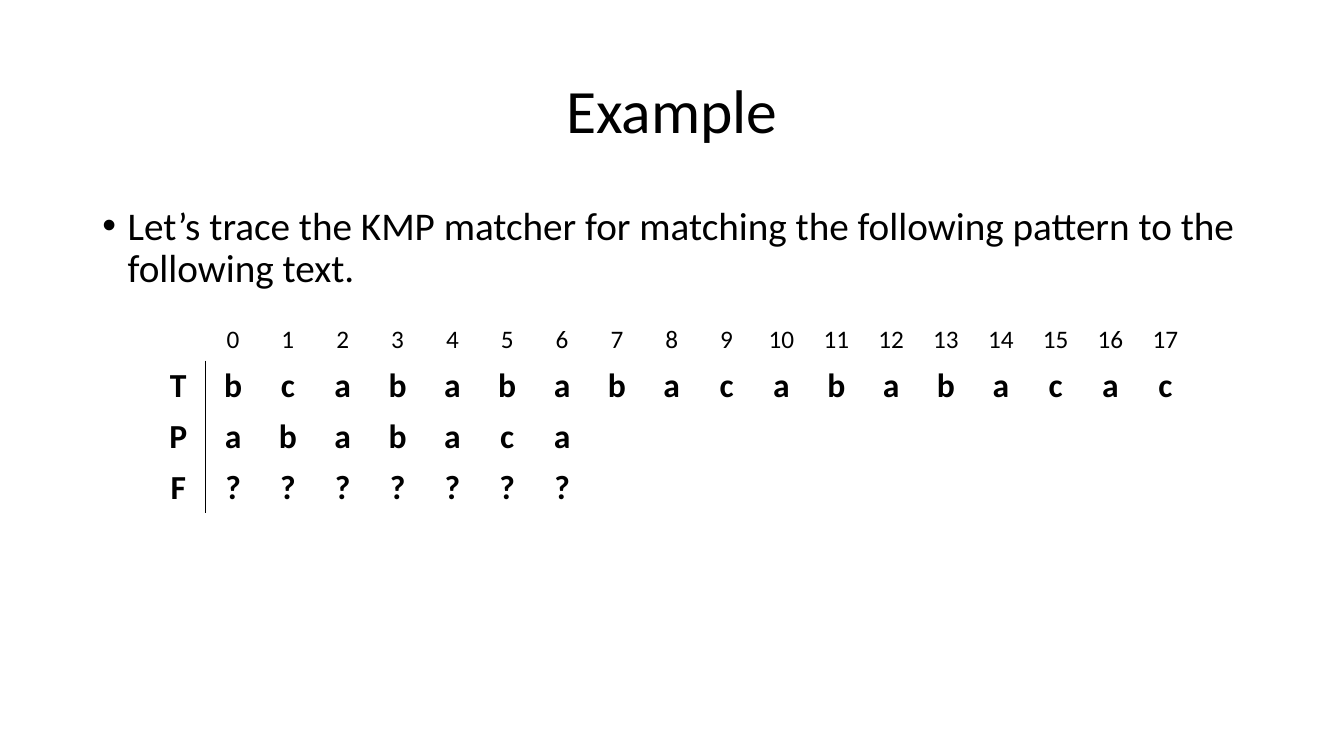
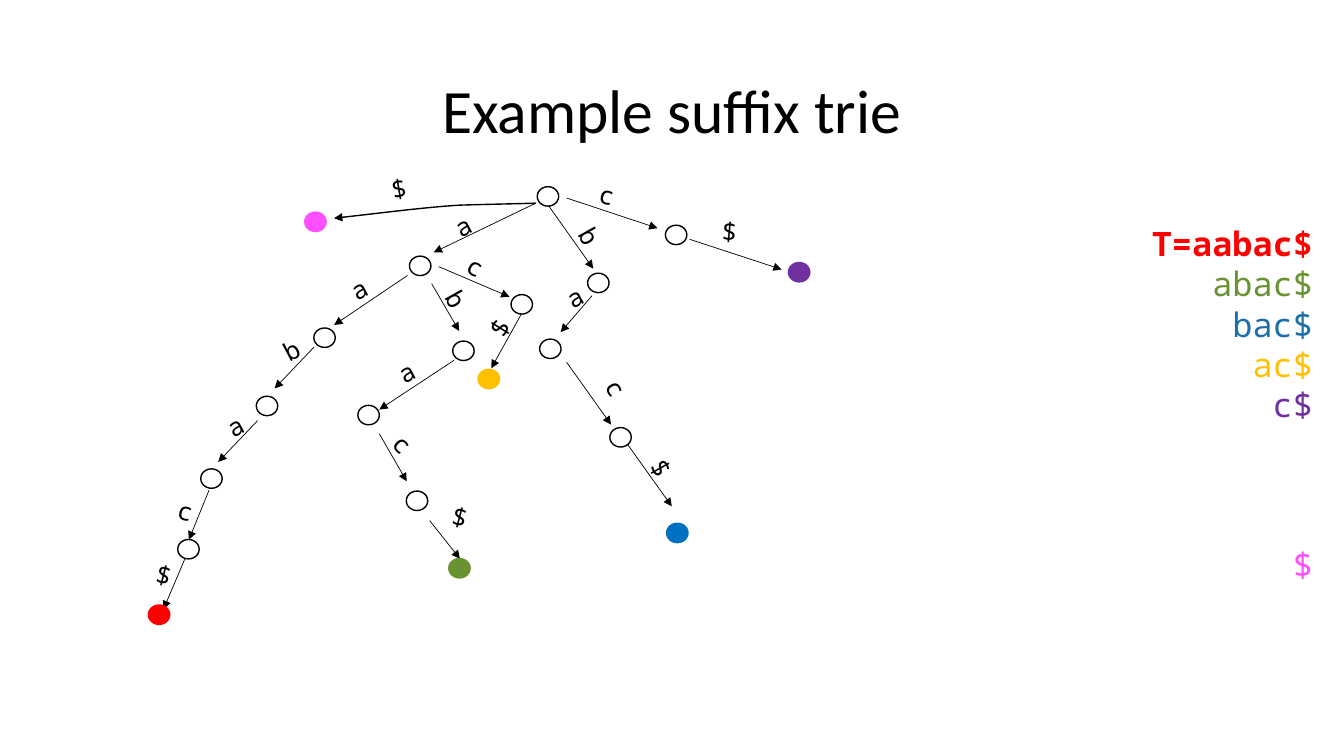
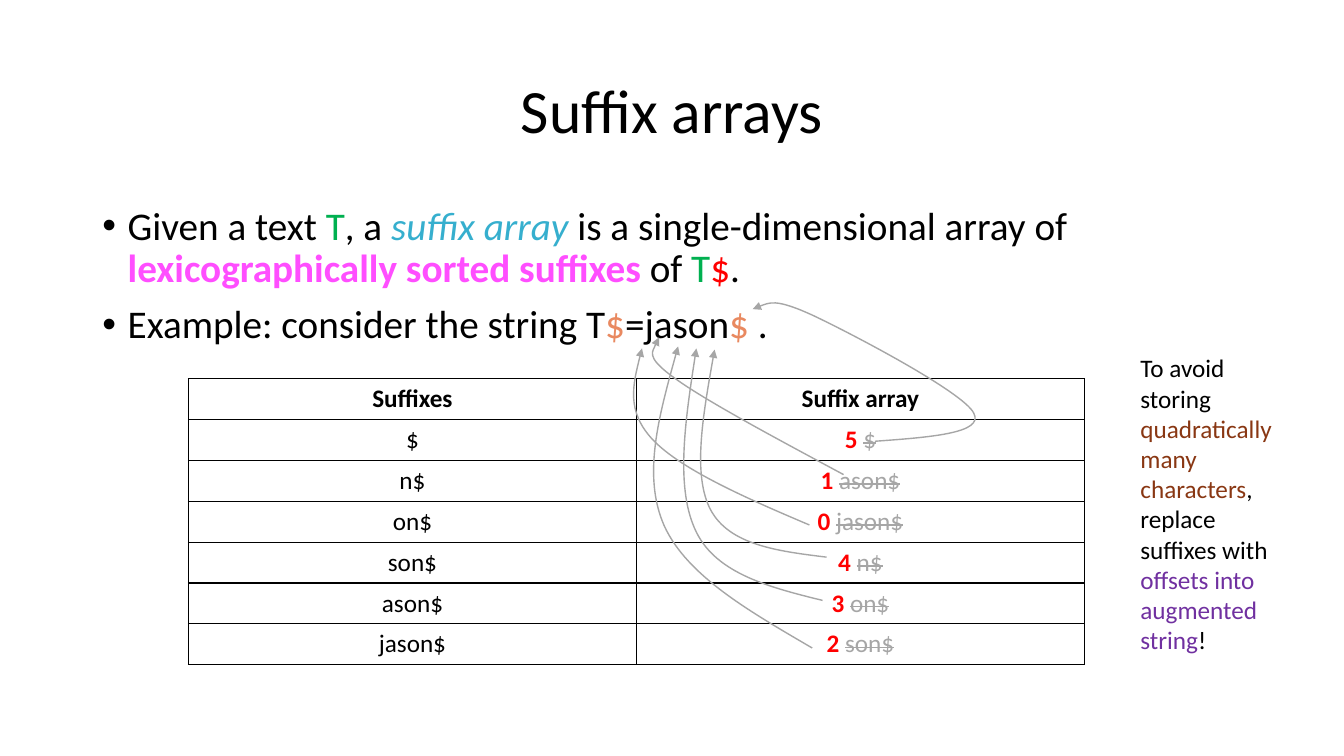
from dataclasses import dataclass

from lxml.etree import SubElement
from pptx import Presentation
from pptx.dml.color import RGBColor
from pptx.enum.shapes import MSO_CONNECTOR as Connector, MSO_SHAPE as Shape
from pptx.enum.text import MSO_ANCHOR as Anchor, PP_ALIGN as Align
from pptx.oxml.ns import qn
from pptx.util import Cm, Pt


@dataclass(frozen=True)
class Theme:
    sans: str = "Calibri"
    mono: str = "Noto Sans Mono"
    title: int = 44
    body: int = 28
    large: int = 24
    small: int = 18
    black: str = "000000"
    red: str = "FF0000"
    pink: str = "FF4EFF"
    purple: str = "7030A0"
    gold: str = "FFC000"
    olive: str = "699331"
    blue: str = "0070C0"
    deep_blue: str = "1D6FA9"
    green: str = "00B050"
    cyan: str = "36AFCE"
    orange: str = "E98960"
    brown: str = "893713"
    grey: str = "A6A6A6"
    thin: float = 0.5
    regular: float = 1
    plain_table: str = "{2D5ABB26-0587-4C30-8999-92F81FD0307C}"


THEME = Theme()


@dataclass(frozen=True)
class Span:
    text: str
    color: str = THEME.black
    bold: bool = False
    italic: bool = False
    strike: bool = False


LINE_BREAK = Span("\n")


@dataclass(frozen=True)
class Branch:
    """One trie edge and the node it leads to; all points are in cm from the trie's corner."""
    prefix: str
    node: tuple
    label: tuple
    angle: float
    arrow: tuple


TITLE_BOX = (2.33, 1.02, 29.21, 3.68)
BODY_BOX = (2.33, 5.07, 29.21, 12.09)

TEXT, PATTERN = "bcabababacababacac", "ababaca"

ROOT = (10.1, 0.74)
LEAF_COLORS = {
    "$": THEME.pink, "aabac$": THEME.red, "abac$": THEME.olive,
    "ac$": THEME.gold, "bac$": THEME.blue, "c$": THEME.purple,
}
BRANCHES = [
    Branch("$", (4.24, 1.38), (6.25, 0.55), -9.7,
           ((9.79, 0.91), (9.15, 0.93), (8.52, 0.94), (7.88, 0.96),
            (7.04, 1.01), (5.88, 1.16), (4.71, 1.29))),
    Branch("a", (6.88, 2.49), (7.87, 1.54), -28, ((9.79, 0.91), (7.22, 2.15))),
    Branch("aa", (4.47, 4.3), (5.25, 3.12), -28, ((6.56, 2.73), (4.71, 3.98))),
    Branch("aab", (3.02, 6.02), (3.55, 4.66), -28, ((4.2, 4.54), (3.21, 5.58))),
    Branch("aaba", (1.62, 7.85), (2.13, 6.57), -28, ((2.78, 6.39), (1.79, 7.43))),
    Branch("aabac", (1.04, 9.63), (0.88, 8.63), 14.7, ((1.56, 8.14), (1.05, 9.39))),
    Branch("aabac$", (0.3, 11.28), (0.33, 10.25), 14.7, ((0.95, 9.87), (0.41, 11.14))),
    Branch("ab", (7.97, 4.63), (7.74, 3.24), 60.9, ((7.17, 2.94), (7.86, 4.13))),
    Branch("aba", (5.58, 6.25), (6.45, 5.22), -28, ((7.73, 4.87), (5.85, 6.11))),
    Branch("abac", (6.8, 8.41), (6.38, 6.92), 46.8, ((5.85, 6.72), (6.54, 7.92))),
    Branch("abac$", (7.87, 10.11), (7.79, 8.78), 14.7, ((7.12, 8.91), (7.88, 9.87))),
    Branch("ac", (9.44, 3.46), (8.2, 2.45), 29.4, ((7.35, 2.51), (9.13, 3.27))),
    Branch("ac$", (8.61, 5.34), (8.83, 4.13), -58.3, ((9.43, 3.7), (8.67, 5.07))),
    Branch("b", (11.37, 2.92), (11.1, 1.67), 60.9, ((10.12, 0.98), (11.24, 2.56))),
    Branch("ba", (10.16, 4.58), (10.69, 3.32), -28, ((11.21, 3.24), (10.42, 4.16))),
    Branch("bac", (11.93, 6.81), (11.78, 5.48), 60.9, ((10.57, 4.92), (11.69, 6.49))),
    Branch("bac$", (13.36, 9.22), (12.91, 7.51), 60.9, ((12.1, 6.98), (13.22, 8.55))),
    Branch("c", (13.33, 1.71), (11.5, 0.68), 14.7, ((10.57, 0.78), (12.86, 1.54))),
    Branch("c$", (16.43, 2.65), (14.58, 1.62), 5.5, ((13.67, 1.82), (15.99, 2.58))),
]

SUFFIXES = ["$", "n$", "on$", "son$", "ason$", "jason$"]
OFFSETS = [(5, "$"), (1, "ason$"), (0, "jason$"), (4, "n$"), (3, "on$"), (2, "son$")]
# Cubic Bézier points from each offset to its letter, in cm from the table's corner
POINTERS = [
    ((17.3, 1.58), (18.67, 1.48), (20.07, 1.38), (19.79, 0.87), (19.53, 0.34),
     (16.66, -1.16), (15.72, -1.6), (14.78, -2.03), (14.5, -1.87), (14.22, -1.75)),
    ((16.51, 2.42), (14.76, 1.48), (13, 0.54), (12.24, -0.02),
     (11.46, -0.58), (11.86, -1.04), (11.86, -1.04)),
    ((15.65, 3.69), (14.02, 3), (12.42, 2.29), (11.71, 1.55),
     (11.02, 0.82), (11.23, 0.03), (11.43, -0.76)),
    ((16.08, 4.5), (14.86, 4.35), (13.64, 4.2), (13.16, 3.31),
     (12.7, 2.44), (12.98, 0.84), (13.26, -0.73)),
    ((15.98, 5.59), (14.63, 5.26), (13.31, 4.91), (12.8, 3.87),
     (12.27, 2.8), (12.52, 1.02), (12.8, -0.76)),
    ((15.72, 6.79), (14.15, 5.87), (12.57, 4.98), (11.99, 3.71),
     (11.43, 2.44), (11.89, 0.82), (12.34, -0.81)),
]


def rgb(color):
    return RGBColor.from_string(color)


def add_spans(paragraph, spans, size, face=THEME.sans):
    for span in spans:
        if span is LINE_BREAK:
            paragraph.add_line_break()
            continue
        run = paragraph.add_run()
        run.text = span.text
        font = run.font
        font.name, font.size = face, Pt(size)
        font.bold, font.italic = span.bold, span.italic
        font.color.rgb = rgb(span.color)
        if span.strike:
            run._r.get_or_add_rPr().set("strike", "sngStrike")


def add_text(slide, box, paragraphs, size, face=THEME.sans, align=Align.LEFT, anchor=Anchor.TOP):
    """Place one paragraph per list of spans and return the text box."""
    text_box = slide.shapes.add_textbox(*map(Cm, box))
    frame = text_box.text_frame
    frame.word_wrap = True
    frame.vertical_anchor = anchor
    for index, spans in enumerate(paragraphs):
        paragraph = frame.paragraphs[0] if index == 0 else frame.add_paragraph()
        paragraph.alignment = align
        add_spans(paragraph, spans, size, face)
    return text_box


def add_title(slide, title):
    heading = add_text(slide, TITLE_BOX, [[Span(title)]], THEME.title,
                       align=Align.CENTER, anchor=Anchor.MIDDLE)
    heading.text_frame.paragraphs[0].line_spacing = 0.9


def add_bullets(slide, bullets):
    body = add_text(slide, BODY_BOX, bullets, THEME.body)
    for index, paragraph in enumerate(body.text_frame.paragraphs):
        paragraph.line_spacing = 0.9
        if index:
            paragraph.space_before = Pt(10)
        properties = paragraph._p.get_or_add_pPr()
        properties.set("marL", str(Cm(0.64)))
        properties.set("indent", str(-Cm(0.64)))
        SubElement(properties, qn("a:buFont"), typeface="Arial")
        SubElement(properties, qn("a:buChar"), char="•")


def style_arrow(arrow, color, width):
    arrow.line.color.rgb = rgb(color)
    arrow.line.width = Pt(width)
    SubElement(arrow.element.spPr.find(qn("a:ln")), qn("a:tailEnd"), type="triangle")


def add_arrow(slide, corner, points):
    ends = [Cm(origin + offset) for point in points for origin, offset in zip(corner, point)]
    arrow = slide.shapes.add_connector(Connector.STRAIGHT, *ends)
    style_arrow(arrow, THEME.black, THEME.thin)
    SubElement(arrow.element.spPr, qn("a:effectLst"))


def add_curved_arrow(slide, corner, points, color):
    """Outline the end points of a Bézier chain, then bend each segment with its controls."""
    left, top = corner
    placed = [(Cm(left + x), Cm(top + y)) for x, y in points]
    builder = slide.shapes.build_freeform(*placed[0])
    builder.add_line_segments(placed[3::3], close=False)
    curve = builder.convert_to_shape()
    for index, straight in enumerate(list(curve.element.iter(qn("a:lnTo")))):
        outline = straight.getparent()
        bend = SubElement(outline, qn("a:cubicBezTo"))
        for x, y in placed[3 * index + 1:3 * index + 4]:
            SubElement(bend, qn("a:pt"), x=str(x - curve.left), y=str(y - curve.top))
        outline.remove(straight)
    curve.fill.background()
    curve.shadow.inherit = False
    style_arrow(curve, color, THEME.regular)


def add_plain_table(slide, box, rows, row_heights, sizes, borders):
    """Fill a table of span lists; borders(row, column) gives the sides to rule, out of LRTB."""
    left, top, width = box
    columns = len(rows[0])
    frame = slide.shapes.add_table(len(rows), columns, Cm(left), Cm(top), Cm(width),
                                   Cm(sum(row_heights)))
    for style in frame.element.iter(qn("a:tableStyleId")):
        style.text = THEME.plain_table
    table = frame.table
    table.first_row = table.horz_banding = False
    for column in table.columns:
        column.width = Cm(width / columns)
    for r, (spans_by_cell, height, size) in enumerate(zip(rows, row_heights, sizes)):
        table.rows[r].height = Cm(height)
        for c, spans in enumerate(spans_by_cell):
            cell = table.cell(r, c)
            paragraph = cell.text_frame.paragraphs[0]
            paragraph.alignment = Align.CENTER
            add_spans(paragraph, spans, size)
            ruled = borders(r, c)
            for side in "LRTB":
                edge = SubElement(cell._tc.get_or_add_tcPr(), qn(f"a:ln{side}"),
                                  w=str(Pt(THEME.regular)))
                if side in ruled:
                    fill = SubElement(edge, qn("a:solidFill"))
                    SubElement(fill, qn("a:srgbClr"), val=THEME.black)
                else:
                    SubElement(edge, qn("a:noFill"))
            cell.fill.background()


def add_matcher_table(slide, box):
    """Line up text, pattern and failure values under the text positions."""
    lines = [("T", TEXT), ("P", PATTERN), ("F", "?" * len(PATTERN))]
    rows = [[[]] + [[Span(str(i))] for i in range(len(TEXT))]]
    for name, letters in lines:
        filled = [[Span(letter, bold=True)] for letter in name + letters]
        rows.append(filled + [[]] * (len(TEXT) - len(letters)))
    add_plain_table(slide, box, rows, [1.04] + [1.28] * 3, [THEME.small] + [THEME.large] * 3,
                    lambda r, c: {0: "R", 1: "L"}.get(c, "") if r else "")


def add_node(slide, corner, center, fill=None):
    width, height = 0.54, 0.49
    left, top = (origin + middle for origin, middle in zip(corner, center))
    node = slide.shapes.add_shape(Shape.OVAL, Cm(left - width / 2), Cm(top - height / 2),
                                  Cm(width), Cm(height))
    node.shadow.inherit = False
    if fill:
        node.fill.solid()
        node.fill.fore_color.rgb = rgb(fill)
    else:
        node.fill.background()
    node.line.color.rgb = rgb(fill or THEME.black)
    node.line.width = Pt(THEME.regular)


def add_trie(slide, corner):
    width, height = 0.69, 1.02
    add_node(slide, corner, ROOT)
    for branch in BRANCHES:
        if len(branch.arrow) == 2:
            add_arrow(slide, corner, branch.arrow)
        else:
            add_curved_arrow(slide, corner, branch.arrow, THEME.black)
        add_node(slide, corner, branch.node, LEAF_COLORS.get(branch.prefix))
        x, y = (origin + middle for origin, middle in zip(corner, branch.label))
        label = add_text(slide, (x - width / 2, y - height / 2, width, height),
                         [[Span(branch.prefix[-1])]], THEME.small, THEME.mono)
        label.rotation = branch.angle


def add_suffix_list(slide, box):
    suffixes = [
        [Span("T=aabac$", THEME.red, bold=True)],
        [Span("abac$", THEME.olive)],
        [Span("bac$", THEME.deep_blue), LINE_BREAK, Span("ac$", THEME.gold)],
        [Span("c$", THEME.purple)],
        [Span("$", THEME.pink)],
    ]
    listing = add_text(slide, box, suffixes, THEME.large, THEME.mono, Align.RIGHT)
    listing.text_frame.margin_left = 0
    listing.text_frame.paragraphs[-1].space_before = Pt(85)


def add_suffix_array(slide, box):
    """Draw the table of suffixes and offsets with pointers into the string above."""
    rows = [[[Span(head, bold=True)] for head in ("Suffixes", "Suffix array")]]
    for suffix, (offset, replaced) in zip(SUFFIXES, OFFSETS):
        rows.append([[Span(suffix)], [Span(f"{offset} ", THEME.red, bold=True),
                                      Span(replaced, THEME.grey, strike=True)]])
    add_plain_table(slide, box, rows, [1.03] * len(rows), [THEME.small] * len(rows),
                    lambda r, c: "LRTB")
    for pointer in POINTERS:
        add_curved_arrow(slide, box[:2], pointer, THEME.grey)


def matcher_slide(slide):
    add_title(slide, "Example")
    add_bullets(slide, [[Span("Let’s trace the KMP matcher for matching the following pattern "
                              "to the following text.")]])
    add_matcher_table(slide, (3.8, 8.05, 26.26))


def trie_slide(slide):
    add_title(slide, "Example suffix trie")
    add_suffix_list(slide, (28.82, 5.49, 4.52, 6.4))
    add_trie(slide, (3.71, 4.21))


def suffix_array_slide(slide):
    add_title(slide, "Suffix arrays")
    add_bullets(slide, [
        [Span("Given a text "), Span("T", THEME.green), Span(", a "),
         Span("suffix array ", THEME.cyan, italic=True),
         Span("is a single-dimensional array of "),
         Span("lexicographically sorted suffixes", THEME.pink, bold=True),
         Span(" of "), Span("T", THEME.green), Span("$", THEME.red), Span(".")],
        [Span("Example: consider the string T"), Span("$", THEME.orange),
         Span("=jason"), Span("$", THEME.orange), Span(" .")],
    ])
    add_suffix_array(slide, (4.75, 9.54, 22.58))
    add_text(slide, (28.49, 8.76, 4.39, 7.95), [[
        Span("To avoid storing "), Span("quadratically many characters", THEME.brown),
        Span(", replace suffixes with "), Span("offsets into augmented string", THEME.purple),
        Span("!")]], THEME.small)


def main():
    deck = Presentation()
    deck.slide_width, deck.slide_height = Cm(33.87), Cm(19.05)
    for build in (matcher_slide, trie_slide, suffix_array_slide):
        build(deck.slides.add_slide(deck.slide_layouts[6]))
    deck.save("out.pptx")


if __name__ == "__main__":
    main()
